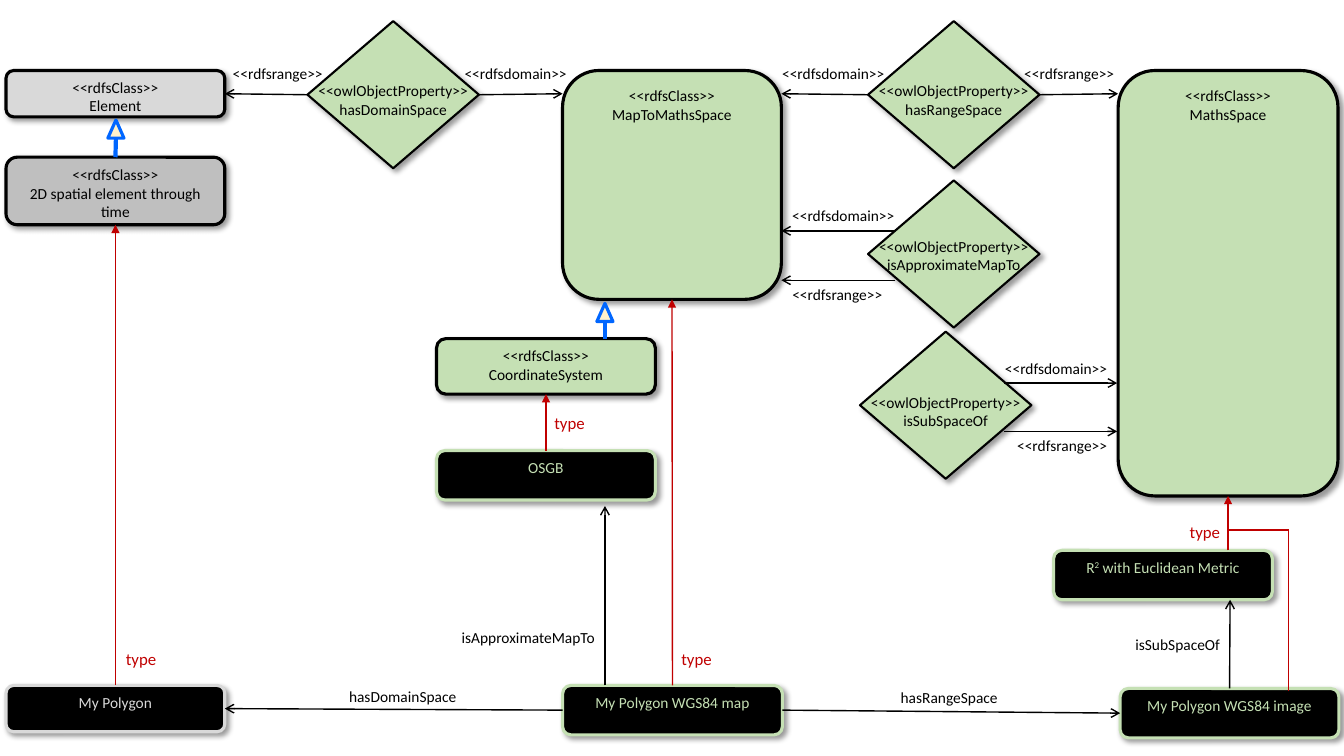
from dataclasses import dataclass
from typing import NamedTuple

from lxml import etree
from pptx import Presentation
from pptx.dml.color import RGBColor
from pptx.enum.shapes import MSO_CONNECTOR, MSO_SHAPE
from pptx.enum.text import MSO_ANCHOR, MSO_AUTO_SIZE, PP_ALIGN
from pptx.oxml.ns import qn
from pptx.util import Emu, Inches, Pt

STRAIGHT = MSO_CONNECTOR.STRAIGHT
ROUNDED, DIAMOND = MSO_SHAPE.ROUNDED_RECTANGLE, MSO_SHAPE.DIAMOND
TRIANGLE = MSO_SHAPE.ISOSCELES_TRIANGLE
LEFT, CENTER, RIGHT = PP_ALIGN.LEFT, PP_ALIGN.CENTER, PP_ALIGN.RIGHT
TOP_SIDE, LEFT_SIDE, BOTTOM_SIDE, RIGHT_SIDE = range(4)

COLORS = {
    "black": "000000", "green": "C5E0B4", "silver": "D9D9D9", "gray": "BFBFBF",
    "red": "C00000", "blue": "0066FF", "cream": "FFF2CC",
}
FONT = "Calibri"
CELL = Inches(0.1)  # one column or row of the grid
DIAMOND_COLUMNS, DIAMOND_ROWS = 17, 14.6
CLASS, PROPERTY = "<<rdfsClass>>", "<<owlObjectProperty>>"
DOMAIN, RANGE = "<<rdfsdomain>>", "<<rdfsrange>>"


class Point(NamedTuple):
    column: float
    row: float


class Joint(NamedTuple):
    node: str
    side: int


@dataclass
class Node:
    """A rounded box; a caret pair in its title marks a raised span."""
    title: str
    column: float
    row: float
    columns: float
    rows: float
    fill: str = "green"
    line: str = "black"
    is_class: bool = False


@dataclass
class Property:
    title: str
    column: float
    row: float
    text_drop: float
    text_columns: float = DIAMOND_COLUMNS


@dataclass
class Label:
    text: str
    column: float
    row: float
    columns: float
    align: PP_ALIGN = CENTER
    color: str = "black"


@dataclass
class Link:
    start: Point | Joint
    end: Point | Joint
    color: str = "black"
    head: str = "arrow"
    width: float = 1


NODES = [
    Node("Element", 0.6, 7, 21.7, 4.6, "silver", is_class=True),
    Node("MapToMathsSpace", 55.8, 7, 21.7, 22.7, is_class=True),
    Node("MathsSpace", 110.9, 7, 21.8, 42.2, is_class=True),
    Node("CoordinateSystem", 43.3, 33.6, 21.7, 5.5, is_class=True),
    Node("2D spatial element through time", 0.6, 15.6, 21.7, 6.7, "gray", is_class=True),
    Node("OSGB", 43.3, 44.7, 21.7, 4.9, "black", "green"),
    Node("My Polygon", 0.6, 68, 21.7, 4.6, "black", "silver"),
    Node("My Polygon WGS84 map", 55.8, 68, 21.8, 4.9, "black", "green"),
    Node("My Polygon WGS84 image", 111.1, 68.3, 21.7, 4.9, "black", "green"),
    Node("R^2^ with Euclidean Metric", 104.5, 54.6, 21.7, 4.9, "black", "green"),
]
PROPERTIES = [
    Property("hasDomainSpace", 30.5, 2.1, 5.5),
    Property("hasRangeSpace", 86.1, 2.1, 5.5),
    Property("isApproximateMapTo", 86.1, 17.9, 5.1, 17.5),
    Property("isSubSpaceOf", 85.3, 32.9, 5.6),
]
SUBCLASS_TIPS = [Point(11.5, 11.9), Point(60, 30.1)]
LINKS = [
    # Domains and ranges
    Link(Joint("hasDomainSpace", LEFT_SIDE), Joint("Element", RIGHT_SIDE)),
    Link(Joint("hasDomainSpace", RIGHT_SIDE), Point(55.8, 9.3)),
    Link(Joint("hasRangeSpace", RIGHT_SIDE), Point(110.9, 9.3)),
    Link(Joint("hasRangeSpace", LEFT_SIDE), Point(77.5, 9.3)),
    Link(Point(88.8, 22.9), Point(77.5, 22.9)),
    Link(Point(88.8, 27.8), Point(77.5, 27.8)),
    Link(Point(99.6, 38), Point(110.8, 38)),
    Link(Point(99.6, 42.8), Point(110.8, 42.8)),
    # Subclass stems
    Link(Point(11.5, 13.6), Joint("2D spatial element through time", TOP_SIDE), "blue", "none", 3),
    Link(Point(60, 31.9), Point(60, 33.6), "blue", "none", 3),
    # Types
    Link(Joint("OSGB", TOP_SIDE), Joint("CoordinateSystem", BOTTOM_SIDE), "red", "triangle"),
    Link(Joint("My Polygon", TOP_SIDE),
         Joint("2D spatial element through time", BOTTOM_SIDE), "red", "triangle"),
    Link(Joint("My Polygon WGS84 map", TOP_SIDE),
         Joint("MapToMathsSpace", BOTTOM_SIDE), "red", "triangle"),
    Link(Point(121.8, 54.6), Joint("MathsSpace", BOTTOM_SIDE), "red", "triangle"),
    Link(Point(127.8, 68.6), Point(127.8, 52.6), "red", "none"),
    Link(Point(121.8, 52.6), Point(127.8, 52.6), "red", "none"),
    # Links between instances
    Link(Joint("My Polygon WGS84 map", LEFT_SIDE), Joint("My Polygon", RIGHT_SIDE)),
    Link(Joint("My Polygon WGS84 map", RIGHT_SIDE), Joint("My Polygon WGS84 image", LEFT_SIDE)),
    Link(Point(60, 68), Point(60, 50.2)),
    Link(Joint("My Polygon WGS84 image", TOP_SIDE), Point(122, 59.5)),
]
LABELS = [
    *(Label(DOMAIN, column, row, 12.3) for column, row in
      [(45, 5.9), (76.5, 5.9), (77.5, 20), (98.6, 35.1)]),
    *(Label(RANGE, column, row, 11.1) for column, row in
      [(22, 5.9), (100.5, 5.9), (77.5, 27.8), (99.8, 42.8)]),
    *(Label("type", column, row, 5.1, align, "red") for column, row, align in
      [(54, 40.5, LEFT), (11.5, 63.9, LEFT), (66.6, 63.9, LEFT), (116.9, 51.3, RIGHT)]),
    Label("hasDomainSpace", 33.6, 67.7, 12.7),
    Label("hasRangeSpace", 88.3, 67.8, 11.7),
    Label("isApproximateMapTo", 42.7, 61.8, 17.3, RIGHT),
    Label("isSubSpaceOf", 109.3, 62.5, 12.7, RIGHT),
]


def cells(*counts: float) -> list[Emu]:
    return [Emu(round(count * CELL)) for count in counts]


def rgb(name: str) -> RGBColor:
    return RGBColor.from_string(COLORS[name])


def write(shape, lines: list[str], color: str, align=CENTER, size: float = 11) -> None:
    frame = shape.text_frame
    for index, line in enumerate(lines):
        para = frame.paragraphs[0] if index == 0 else frame.add_paragraph()
        para.alignment = align
        para.font.name, para.font.size = FONT, Pt(size)
        para.font.color.rgb = rgb(color)
        for part, words in enumerate(line.split("^")):
            span = para.add_run()
            span.text = words
            if part % 2:
                span._r.get_or_add_rPr().set("baseline", "30000")


def add_outline(shapes, kind, area: list[Emu], fill: str, line: str, width: float, shadow=True):
    shape = shapes.add_shape(kind, *area)
    shape.shadow.inherit = False
    shape.fill.solid()
    shape.fill.fore_color.rgb = rgb(fill)
    shape.line.color.rgb = rgb(line)
    shape.line.width = Pt(width)
    if shadow:
        effects = shape._element.spPr.find(qn("a:effectLst"))
        cast = etree.SubElement(effects, qn("a:outerShdw"), blurRad=str(Pt(4)), dist=str(Pt(3)),
                                dir="2700000", algn="tl", rotWithShape="0")
        tint = etree.SubElement(cast, qn("a:srgbClr"), val=COLORS["black"])
        etree.SubElement(tint, qn("a:alpha"), val="40000")
    return shape


def add_text(shapes, area: list[Emu], lines: list[str], color="black", align=CENTER, size=11):
    box = shapes.add_textbox(*area)
    box.text_frame.word_wrap = False
    box.text_frame.auto_size = MSO_AUTO_SIZE.SHAPE_TO_FIT_TEXT
    write(box, lines, color, align, size)


def add_node(shapes, node: Node):
    area = cells(node.column, node.row, node.columns, node.rows)
    shape = add_outline(shapes, ROUNDED, area, node.fill, node.line, 2.25)
    shape.text_frame.vertical_anchor = MSO_ANCHOR.TOP
    lines = [CLASS, node.title] if node.is_class else [node.title]
    write(shape, lines, "black" if node.is_class else node.line)
    return shape


def add_property(shapes, item: Property):
    group = shapes.add_group_shape()
    area = cells(item.column, item.row, DIAMOND_COLUMNS, DIAMOND_ROWS)
    diamond = add_outline(group.shapes, DIAMOND, area, "green", "black", 1.5)
    text_column = item.column + (DIAMOND_COLUMNS - item.text_columns) / 2
    add_text(group.shapes, cells(text_column, item.row + item.text_drop, item.text_columns, 4.7),
             [PROPERTY, item.title])
    return diamond


def add_link(shapes, link: Link, joined: dict) -> None:
    places = [(0, 0) if isinstance(tip, Joint) else tip for tip in (link.start, link.end)]
    connector = shapes.add_connector(STRAIGHT, *cells(*places[0], *places[1]))
    if isinstance(link.start, Joint):
        connector.begin_connect(joined[link.start.node], link.start.side)
    if isinstance(link.end, Joint):
        connector.end_connect(joined[link.end.node], link.end.side)
    connector.line.color.rgb = rgb(link.color)
    connector.line.width = Pt(link.width)
    properties = connector._element.spPr
    etree.SubElement(properties.find(qn("a:ln")), qn("a:tailEnd"), type=link.head)
    etree.SubElement(properties, qn("a:effectLst"))


def main() -> None:
    deck = Presentation()
    deck.slide_width, deck.slide_height = Inches(13.33), Inches(7.5)
    shapes = deck.slides.add_slide(deck.slide_layouts[6]).shapes
    # Classes, instances and properties
    joined = {node.title: add_node(shapes, node) for node in NODES}
    joined.update({item.title: add_property(shapes, item) for item in PROPERTIES})
    # Arrows
    for link in LINKS:
        add_link(shapes, link, joined)
    for tip in SUBCLASS_TIPS:
        area = cells(tip.column - 0.8, tip.row, 1.6, 1.8)
        add_outline(shapes, TRIANGLE, area, "cream", "blue", 2.25, shadow=False)
    # Labels
    for label in LABELS:
        size, rows = (12, 3) if label.color == "red" else (11, 2.9)
        add_text(shapes, cells(label.column, label.row, label.columns, rows),
                 [label.text], label.color, label.align, size)
    deck.save("out.pptx")


if __name__ == "__main__":
    main()
